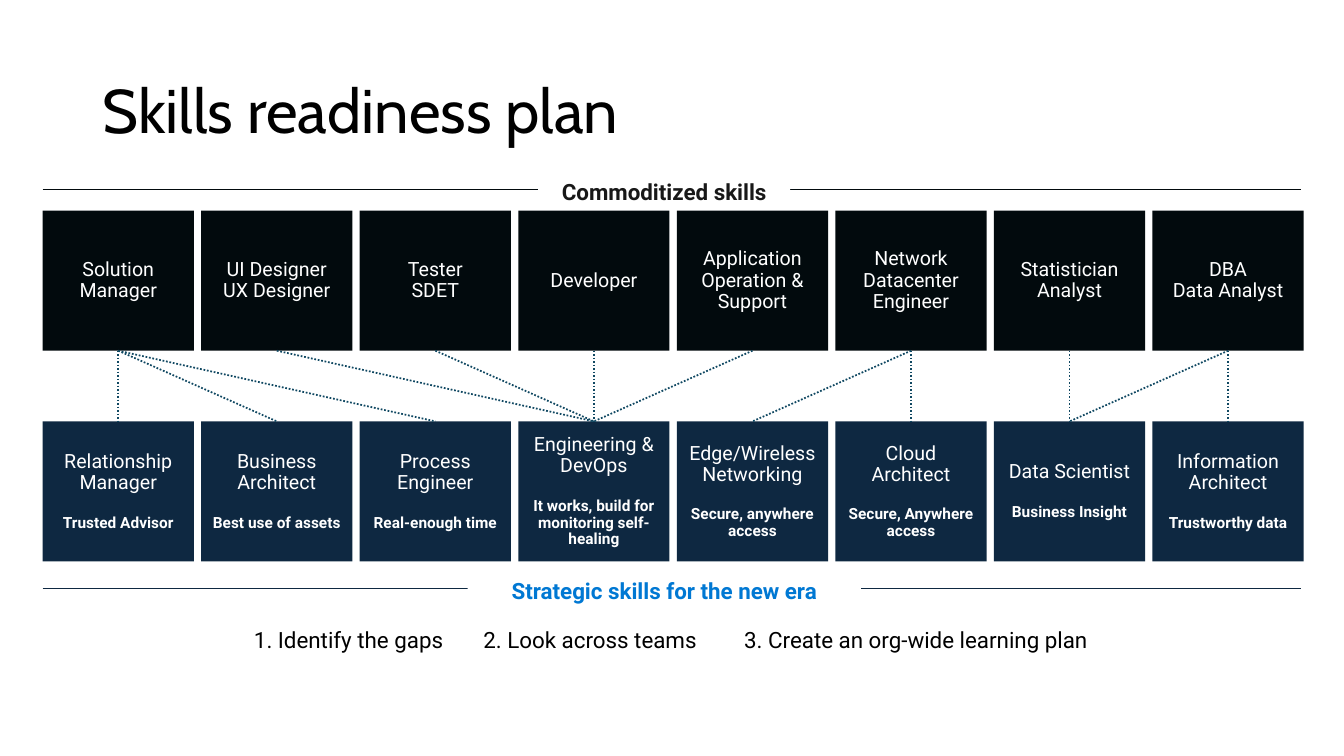
import copy
import pptx
import pptx.util
import pptx.dml.color
import pptx.enum.dml
import pptx.enum.shapes
import pptx.enum.text
import pptx.oxml.ns

Pt = pptx.util.Pt
ALIGN = pptx.enum.text.PP_ALIGN
ANCHOR = pptx.enum.text.MSO_ANCHOR

COLORS = {
    "white": "FFFFFF",
    "black": "000000",
    "ink": "020A0D",
    "navy": "0E2841",
    "teal": "104862",
    "gray": "181818",
    "blue": "0078D3",
}

# Tile grid
LEFT, STEP, WIDE, HIGH = 30.5, 113.25, 108, 100
OLD_TOP, NEW_TOP = 150.5, 301

OLD_ROLES = [
    "Solution Manager",
    "UI Designer\vUX Designer",
    "Tester\vSDET",
    "Developer",
    "Application Operation & Support",
    "Network Datacenter Engineer",
    "Statistician\vAnalyst",
    "DBA\vData Analyst",
]
NEW_ROLES = [
    ("Relationship Manager", "Trusted Advisor"),
    ("Business Architect", "Best use of assets"),
    ("Process Engineer", "Real-enough time"),
    ("Engineering & DevOps", "It works, build for monitoring self-healing"),
    ("Edge/Wireless Networking", "Secure, anywhere access"),
    ("Cloud Architect", "Secure, Anywhere access"),
    ("Data Scientist", "Business Insight"),
    ("Information Architect", "Trustworthy data"),
]
# Column of the old role, column of the new role
LINKS = [(0, 0), (0, 1), (0, 2), (1, 3), (2, 3), (3, 3), (4, 3),
         (5, 5), (5, 4), (6, 6), (7, 7), (7, 6)]
# Left, width, text
STEPS = [
    (126.5, 245, "1. Identify the gaps"),
    (299, 245, "2. Look across teams"),
    (485.5, 337.5, "3. Create an org-wide learning plan"),
]


def color(name):
    return pptx.dml.color.RGBColor.from_string(COLORS[name])


def write(para, text, size=14, face="Roboto", tint="white", bold=False,
          align=ALIGN.CENTER, pitch=0.9, before=0):
    para.text = text
    para.alignment = align
    para.line_spacing = pitch
    para.space_before = Pt(before)
    for run in para.runs:
        font = run.font
        font.size, font.name, font.bold = Pt(size), face, bold
        font.color.rgb = color(tint)
    # Line breaks take the format of the text around them
    for brk in para._p.findall(pptx.oxml.ns.qn("a:br")):
        brk.insert(0, copy.deepcopy(para.runs[0]._r.rPr))


def set_frame(frame, pad_x=0, pad_y=0, anchor=ANCHOR.TOP):
    frame.word_wrap = True
    frame.vertical_anchor = anchor
    frame.margin_left = frame.margin_right = Pt(pad_x)
    frame.margin_top = frame.margin_bottom = Pt(pad_y)
    return frame


def add_block(slide, x, y, wide, high, fill):
    block = slide.shapes.add_shape(
        pptx.enum.shapes.MSO_SHAPE.RECTANGLE, Pt(x), Pt(y), Pt(wide), Pt(high))
    block.shadow.inherit = False
    block.fill.solid()
    block.fill.fore_color.rgb = color(fill)
    block.line.fill.background()
    return block.text_frame


def add_line(slide, x1, y1, x2, y2, tint, width=1, dash=None):
    line = slide.shapes.add_connector(
        pptx.enum.shapes.MSO_CONNECTOR.STRAIGHT, Pt(x1), Pt(y1), Pt(x2), Pt(y2))
    line.line.color.rgb = color(tint)
    line.line.width = Pt(width)
    if dash:
        line.line.dash_style = dash
    props = line._element.spPr
    props.append(props.makeelement(pptx.oxml.ns.qn("a:effectLst"), {}))


def add_band(slide, y, rule, x, wide, text, tint):
    add_line(slide, LEFT, y, 929, y, rule)
    frame = set_frame(add_block(slide, x, y - 12.25, wide, 22, "white"))
    write(frame.paragraphs[0], text, size=16, tint=tint, bold=True, pitch=Pt(23.5))


def add_title(slide, text):
    title = slide.shapes.title
    title.left, title.top, title.width, title.height = Pt(66), Pt(29), Pt(828), Pt(104.5)
    frame = set_frame(title.text_frame, 7.2, 3.6, ANCHOR.MIDDLE)
    frame.auto_size = pptx.enum.text.MSO_AUTO_SIZE.NONE
    write(frame.paragraphs[0], text, size=44, face="Cabin", tint="black", align=ALIGN.LEFT)


def add_step(slide, x, wide, text):
    box = slide.shapes.add_textbox(Pt(x), Pt(443), Pt(wide), Pt(22.5))
    write(set_frame(box.text_frame).paragraphs[0], text, size=16, tint="black", pitch=Pt(23.5))


def main():
    deck = pptx.Presentation()
    deck.slide_width, deck.slide_height = Pt(960), Pt(540)
    slide = deck.slides.add_slide(deck.slide_layouts[5])
    add_title(slide, "Skills readiness plan")

    # Headings on rules
    add_band(slide, 135.5, "ink", 384.5, 180, "Commoditized skills", "gray")
    add_band(slide, 420.5, "navy", 334, 281, "Strategic skills for the new era", "blue")

    # Rows of roles
    for col, (old, (new, goal)) in enumerate(zip(OLD_ROLES, NEW_ROLES)):
        x = LEFT + col * STEP
        frame = add_block(slide, x, OLD_TOP, WIDE, HIGH, "ink")
        write(set_frame(frame, 14.4, 11.5, ANCHOR.MIDDLE).paragraphs[0], old)
        frame = add_block(slide, x, NEW_TOP, WIDE, HIGH, "navy")
        write(set_frame(frame, 7.2, 7.2, ANCHOR.MIDDLE).paragraphs[0], new)
        write(frame.add_paragraph(), goal, size=11, bold=True, before=15)

    # Links between the rows
    mid = LEFT + WIDE / 2
    for old, new in LINKS:
        add_line(slide, mid + old * STEP, OLD_TOP + HIGH, mid + new * STEP, NEW_TOP,
                 "teal", 1.25, pptx.enum.dml.MSO_LINE.ROUND_DOT)

    # Next steps
    for step in STEPS:
        add_step(slide, *step)

    deck.save("out.pptx")


if __name__ == "__main__":
    main()
